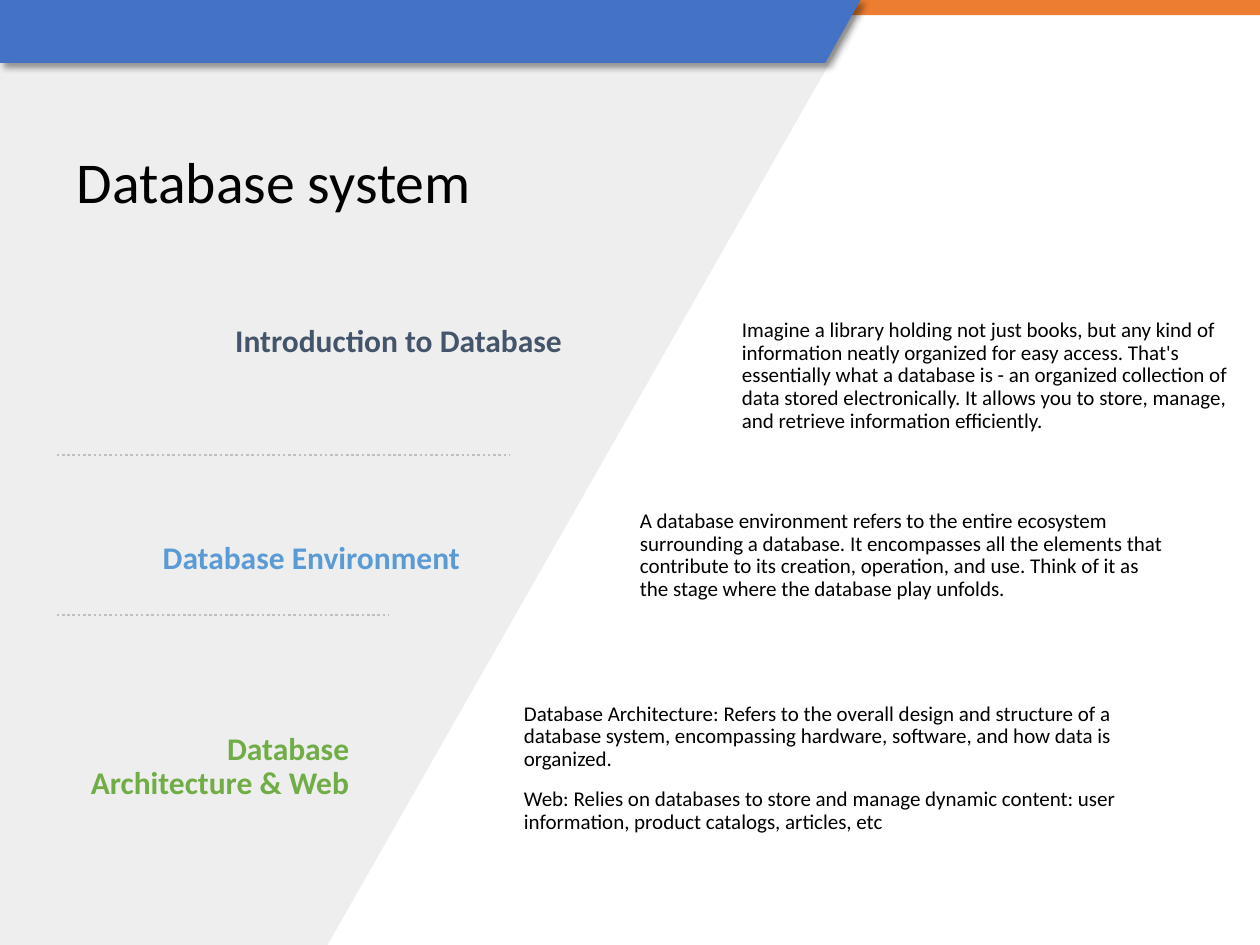
from lxml.etree import SubElement
from pptx import Presentation
from pptx.dml.color import RGBColor
from pptx.enum.dml import MSO_LINE
from pptx.enum.shapes import MSO_CONNECTOR, MSO_SHAPE
from pptx.enum.text import MSO_ANCHOR, MSO_AUTO_SIZE, PP_ALIGN
from pptx.oxml.ns import qn
from pptx.util import Inches, Pt

BLACK = RGBColor(0x00, 0x00, 0x00)
GRAY = RGBColor(0xEE, 0xEE, 0xEE)
DOT_GRAY = RGBColor(0xBF, 0xBF, 0xBF)
BLUE = RGBColor(0x44, 0x72, 0xC4)
ORANGE = RGBColor(0xED, 0x7D, 0x31)
SLATE = RGBColor(0x44, 0x54, 0x6A)
SKY = RGBColor(0x5B, 0x9B, 0xD5)
GREEN = RGBColor(0x70, 0xAD, 0x47)

TOPICS = [
    ("Introduction to Database", SLATE, (0.51, 2.49, 4.05, 0.46),
     ["Imagine a library holding not just books, but any kind of information neatly "
      "organized for easy access. That's essentially what a database is - an organized "
      "collection of data stored electronically. It allows you to store, manage, and "
      "retrieve information efficiently."], (5.79, 2.61, 4.13, 0.75)),
    ("Database Environment", SKY, (0.45, 4.21, 3.3, 0.46),
     ["A database environment refers to the entire ecosystem surrounding a database. "
      "It encompasses all the elements that contribute to its creation, operation, and "
      "use. Think of it as the stage where the database play unfolds."],
     (4.98, 3.91, 4.42, 1)),
    ("Database Architecture & Web", GREEN, (0.45, 5.86, 2.42, 0.46),
     ["Database Architecture: Refers to the overall design and structure of a database "
      "system, encompassing hardware, software, and how data is organized.",
      "Web: Relies on databases to store and manage dynamic content: user information, "
      "product catalogs, articles, etc"], (4.06, 5.6, 5.34, 1)),
]
DIVIDERS = [(0.45, 3.61, 3.6), (0.45, 4.88, 2.63)]


def paint(shape, color):
    shape.shadow.inherit = False
    shape.fill.solid()
    shape.fill.fore_color.rgb = color
    shape.line.fill.background()


def add_outline(slide, points, color):
    corners = [(Inches(x), Inches(y)) for x, y in points]
    builder = slide.shapes.build_freeform(*corners[0])
    builder.add_line_segments(corners[1:], close=True)
    shape = builder.convert_to_shape()
    paint(shape, color)
    return shape


def add_shadow(shape):
    effects = shape._element.spPr.find(qn("a:effectLst"))
    shadow = SubElement(effects, qn("a:outerShdw"), blurRad=str(Pt(4)), dist=str(Pt(3)),
                        dir=str(45 * 60000), algn="tl", rotWithShape="0")
    color = SubElement(shadow, qn("a:srgbClr"), val=str(BLACK))
    SubElement(color, qn("a:alpha"), val="40000")


def write_text(shape, paragraphs, size=12, color=BLACK, bold=False, align=PP_ALIGN.LEFT,
               anchor=MSO_ANCHOR.MIDDLE, spacing=0.9, gap=10, margin_top=0.05):
    frame = shape.text_frame
    frame.word_wrap = True
    frame.auto_size = MSO_AUTO_SIZE.NONE
    frame.vertical_anchor = anchor
    frame.margin_top = Inches(margin_top)
    for index, text in enumerate(paragraphs):
        paragraph = frame.paragraphs[0] if index == 0 else frame.add_paragraph()
        paragraph.text = text
        paragraph.alignment = align
        paragraph.line_spacing = spacing
        paragraph.space_before = Pt(gap if index else 0)
        paragraph.font.name = "Calibri"
        paragraph.font.size = Pt(size)
        paragraph.font.bold = bold
        paragraph.font.color.rgb = color


def add_text(slide, box, paragraphs, **formatting):
    shape = slide.shapes.add_textbox(*map(Inches, box))
    write_text(shape, paragraphs, **formatting)


def add_background(slide, width, height):
    add_outline(slide, [(0, 0), (6.83, 0), (6.83, 0.07), (2.6, height), (0, height)], GRAY)
    strip = slide.shapes.add_shape(MSO_SHAPE.RECTANGLE, 0, 0, Inches(width), Inches(0.12))
    paint(strip, ORANGE)
    banner = add_outline(slide, [(0, 0), (6.83, 0), (6.55, 0.5), (0, 0.5)], BLUE)
    add_shadow(banner)


def place_title(slide, box, text):
    title = slide.shapes.title
    title.left, title.top, title.width, title.height = map(Inches, box)
    write_text(title, [text], size=33, anchor=MSO_ANCHOR.TOP, spacing=1, margin_top=0.08)


def add_topic(slide, heading, color, heading_box, paragraphs, body_box):
    add_text(slide, body_box, paragraphs)
    add_text(slide, heading_box, [heading], size=18, color=color, bold=True,
             align=PP_ALIGN.RIGHT)


def add_divider(slide, left, top, width):
    line = slide.shapes.add_connector(MSO_CONNECTOR.STRAIGHT, Inches(left), Inches(top),
                                      Inches(left + width), Inches(top))
    line.line.color.rgb = DOT_GRAY
    line.line.width = Pt(1.5)
    line.line.dash_style = MSO_LINE.ROUND_DOT
    SubElement(line._element.spPr, qn("a:effectLst"))


def main():
    presentation = Presentation()
    presentation.slide_width = Inches(10)
    presentation.slide_height = Inches(7.5)
    slide = presentation.slides.add_slide(presentation.slide_layouts[5])
    add_background(slide, 10, 7.5)
    place_title(slide, (0.51, 1.08, 8.86, 0.88), "Database system")
    for topic in TOPICS:
        add_topic(slide, *topic)
    for divider in DIVIDERS:
        add_divider(slide, *divider)
    title = slide.shapes.title._element
    banner = slide.shapes[3]._element
    banner.addnext(title)
    presentation.save("out.pptx")


if __name__ == "__main__":
    main()
